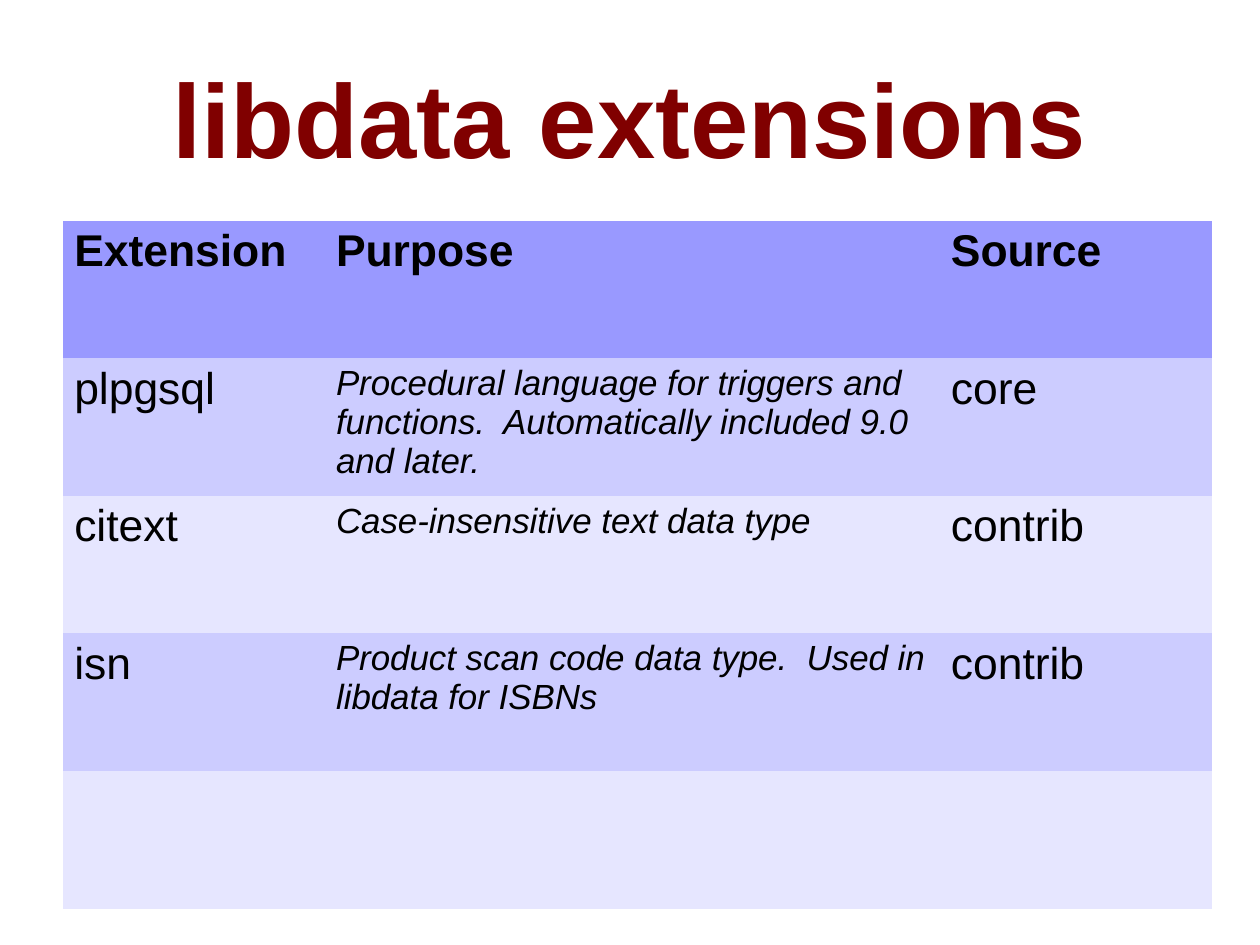
from pptx import Presentation
from pptx.dml.color import RGBColor
from pptx.enum.text import MSO_ANCHOR, PP_ALIGN
from pptx.oxml.ns import qn
from pptx.util import Inches, Pt

CM_PER_INCH = 2.54
SLIDE_WIDTH = Inches(28 / CM_PER_INCH)
SLIDE_HEIGHT = Inches(21 / CM_PER_INCH)

FONT = "Arial"
MAROON = RGBColor(0x80, 0x00, 0x00)
BLACK = RGBColor(0x00, 0x00, 0x00)
HEADER_FILL = RGBColor(0x99, 0x99, 0xFF)
ROW_FILLS = (RGBColor(0xCC, 0xCC, 0xFF), RGBColor(0xE6, 0xE6, 0xFF))
NO_GRID_STYLE = "{2D5ABB26-0587-4C30-8999-92F81FD0307C}"

COLUMN_WIDTHS = (2.29, 5.38, 2.38)
PURPOSE_COLUMN = 1
EXTENSIONS = (
    ("Extension", "Purpose", "Source"),
    ("plpgsql",
     "Procedural language for triggers and functions.  "
     "Automatically included 9.0 and later.",
     "core"),
    ("citext", "Case-insensitive text data type", "contrib"),
    ("isn", "Product scan code data type.  Used in libdata for ISBNs", "contrib"),
    ("", "", ""),
)


def write(frame, text, size=28, color=BLACK, bold=False, italic=False,
          align=PP_ALIGN.LEFT):
    paragraph = frame.paragraphs[0]
    paragraph.alignment = align
    run = paragraph.add_run()
    run.text = text
    run.font.name = FONT
    run.font.size = Pt(size)
    run.font.color.rgb = color
    run.font.bold = bold
    run.font.italic = italic


def add_title(slide, text, left, top, width, height):
    title = slide.shapes.add_textbox(
        Inches(left), Inches(top), Inches(width), Inches(height))
    frame = title.text_frame
    frame.word_wrap = True
    frame.vertical_anchor = MSO_ANCHOR.MIDDLE
    frame.margin_left = frame.margin_right = 0
    frame.margin_top = frame.margin_bottom = 0
    write(frame, text, size=66, color=MAROON, bold=True, align=PP_ALIGN.CENTER)


def add_extension_table(slide, left, top, width, height):
    """Header row, then rows in alternating tints; purposes are in italics."""
    graphic = slide.shapes.add_table(
        len(EXTENSIONS), len(COLUMN_WIDTHS),
        Inches(left), Inches(top), Inches(width), Inches(height))
    table = graphic.table
    for style_id in graphic.element.iter(qn("a:tableStyleId")):
        style_id.text = NO_GRID_STYLE
    for column, share in zip(table.columns, COLUMN_WIDTHS):
        column.width = Inches(width * share / sum(COLUMN_WIDTHS))

    for row, entries in enumerate(EXTENSIONS):
        is_header = row == 0
        fill = HEADER_FILL if is_header else ROW_FILLS[(row - 1) % 2]
        for column, text in enumerate(entries):
            cell = table.cell(row, column)
            cell.fill.solid()
            cell.fill.fore_color.rgb = fill
            is_purpose = column == PURPOSE_COLUMN and not is_header
            if text:
                write(cell.text_frame, text, size=22 if is_purpose else 28,
                      bold=is_header, italic=is_purpose)


def main():
    presentation = Presentation()
    presentation.slide_width = SLIDE_WIDTH
    presentation.slide_height = SLIDE_HEIGHT
    slide = presentation.slides.add_slide(presentation.slide_layouts[6])
    add_title(slide, "libdata extensions", 0.55, 0.33, 9.92, 1.38)
    add_extension_table(slide, 0.55, 1.93, 10.05, 6.02)
    presentation.save("out.pptx")


if __name__ == "__main__":
    main()
